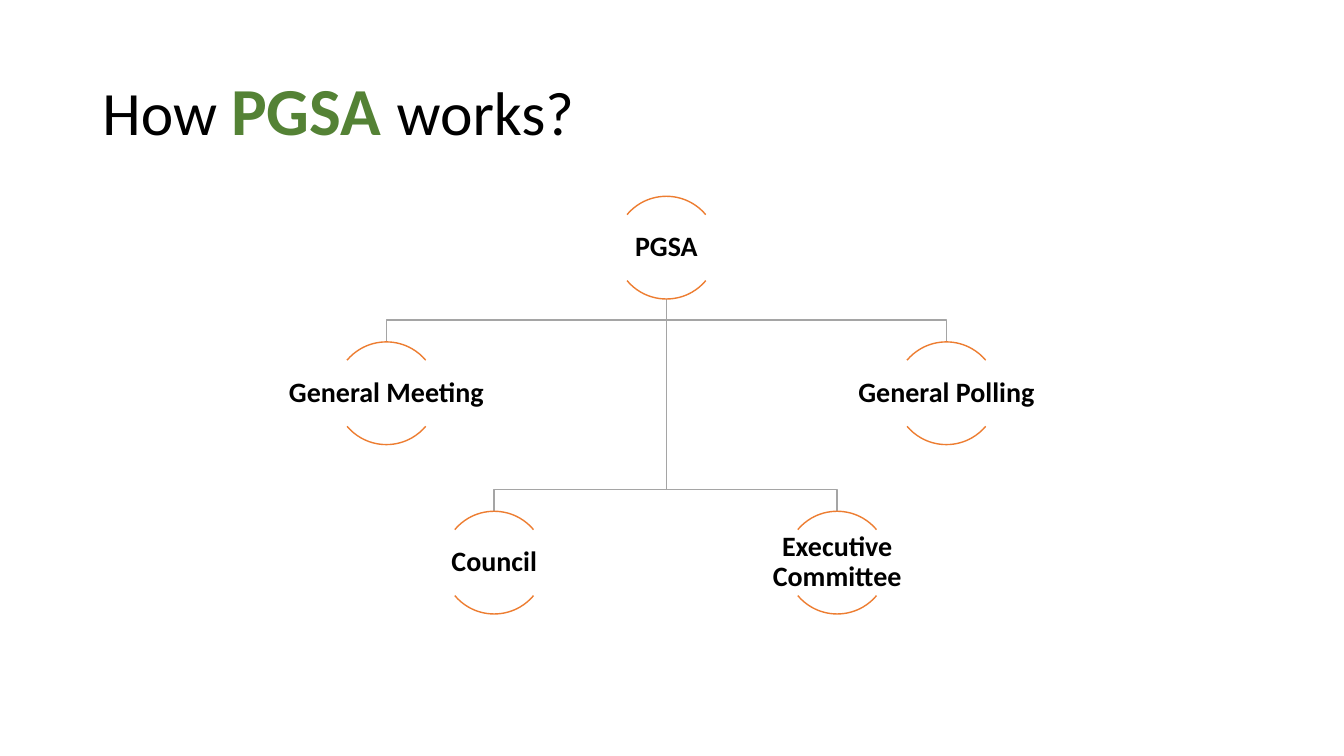
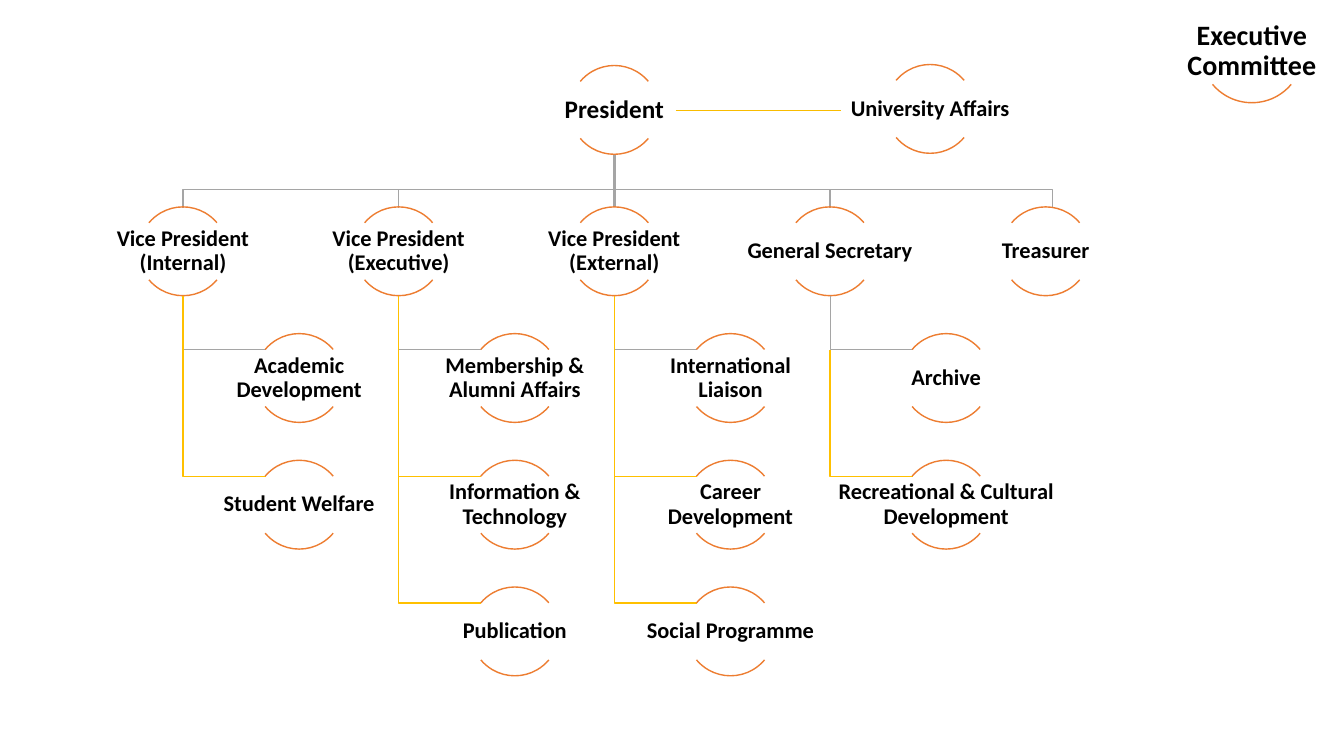
from lxml.etree import SubElement
from pptx import Presentation
from pptx.dml.color import RGBColor
from pptx.enum.shapes import MSO_CONNECTOR as Connector, MSO_SHAPE as Preset
from pptx.enum.text import MSO_ANCHOR as Anchor, MSO_AUTO_SIZE as AutoSize, PP_ALIGN as Align
from pptx.oxml.ns import qn
from pptx.util import Pt

COLORS = {"text": "000000", "brand": "548235", "arc": "ED7D31",
          "trunk": "A5A5A5", "branch": "FFC000", "side": "F9BC00"}
FONT = "Calibri"
ARC_ANGLES = {"top": (132, 192), "bottom": (24, 84)}
FRAME = {"word_wrap": True, "auto_size": AutoSize.NONE, "vertical_anchor": Anchor.MIDDLE}
LABEL_INSETS = {f"margin_{side}": Pt(0.9) for side in ("left", "right", "top", "bottom")}


def rgb(key):
    return RGBColor.from_string(COLORS[key])


def apply(target, values):
    for attribute, value in values.items():
        setattr(target, attribute, value)


def add_run(paragraph, text, size, bold, color="text"):
    run = paragraph.add_run()
    run.text = text
    apply(run.font, {"name": FONT, "size": Pt(size), "bold": bold})
    run.font.color.rgb = rgb(color)


def outline(part, color, weight=1):
    part.line.color.rgb = rgb(color)
    part.line.width = Pt(weight)


def add_path(slide, points, color, weight=1):
    """Open angled line through the given points."""
    start, *rest = [(Pt(x), Pt(y)) for x, y in points]
    builder = slide.shapes.build_freeform(*start, scale=1.0)
    builder.add_line_segments(rest, close=False)
    path = builder.convert_to_shape()
    path.shadow.inherit = False
    path.fill.background()
    outline(path, color, weight)


def add_line(slide, start, end, color, weight):
    ends = [Pt(value) for value in (*start, *end)]
    line = slide.shapes.add_connector(Connector.STRAIGHT, *ends)
    SubElement(line._element.spPr, qn("a:effectLst"))
    outline(line, color, weight)


def add_node(slide, text, center, top, diameter, size,
             label_width=None, arcs=("top", "bottom")):
    """Label between two arcs of a circle."""
    for arc_key in arcs:
        arc = slide.shapes.add_shape(Preset.ARC, Pt(center - diameter / 2), Pt(top),
                                     Pt(diameter), Pt(diameter))
        for index, angle in enumerate(ARC_ANGLES[arc_key]):
            arc.adjustments[index] = angle
        arc.shadow.inherit = False
        arc.fill.background()
        outline(arc, "arc")
    width, height = label_width or 2 * diameter, 0.64 * diameter
    label = slide.shapes.add_textbox(Pt(center - width / 2), Pt(top + (diameter - height) / 2),
                                     Pt(width), Pt(height))
    apply(label.text_frame, FRAME | LABEL_INSETS)
    paragraph = label.text_frame.paragraphs[0]
    apply(paragraph, {"alignment": Align.CENTER, "line_spacing": 0.9})
    add_run(paragraph, text, size, True)


def add_title(slide, box, parts):
    title = slide.shapes.title
    apply(title, dict(zip(("left", "top", "width", "height"), map(Pt, box))))
    apply(title.text_frame, FRAME)
    paragraph = title.text_frame.paragraphs[0]
    apply(paragraph, {"alignment": Align.LEFT, "line_spacing": 0.9})
    for part in parts:
        add_run(paragraph, *part)


def add_overview(slide, box):
    """PGSA with its four bodies in two rows."""
    left, top, width, _ = box
    diameter, size, drop = 73.4, 20, 15.5
    center = left + width / 2
    bodies = [("General Meeting", -200, 104), ("General Polling", 200, 104),
              ("Council", -123, 225), ("Executive Committee", 122, 225)]
    for _, dx, dy in bodies:
        bar = top + dy - drop
        add_path(slide, [(center, top + diameter), (center, bar),
                         (center + dx, bar), (center + dx, top + dy)], "trunk")
    for text, dx, dy in [("PGSA", 0, 0), *bodies]:
        add_node(slide, text, center + dx, top + dy, diameter, size)


def add_committee(slide, box):
    """President, officers in columns, and the portfolios below each officer."""
    left, top, width, _ = box
    diameter, size = 63.4, 16
    columns = [
        ("Vice President (Internal)", ["Academic Development", "Student Welfare"]),
        ("Vice President (Executive)",
         ["Membership & Alumni Affairs", "Information & Technology", "Publication"]),
        ("Vice President (External)",
         ["International Liaison", "Career Development", "Social Programme"]),
        ("General Secretary", ["Archive", "Recreational & Cultural Development"]),
        ("Treasurer", []),
    ]
    pitch = (width - 2 * diameter) / (len(columns) - 1)
    first = left + diameter
    president = first + 2 * pitch
    officer_top, row_pitch = top + 101, 90.5
    bar, officer_bottom = officer_top - 12.5, officer_top + diameter

    # President and adviser
    add_line(slide, (president, top + diameter), (president, officer_top), "trunk", 2.25)
    add_line(slide, (president + 44, top + 32.4), (president + 162, top + 32.4), "side", 0.75)
    add_node(slide, "President", president, top, diameter, 18)
    add_node(slide, "University Affairs", president + 225.6, top - 0.7, diameter, size)

    for column, (officer, portfolios) in enumerate(columns):
        center = first + column * pitch
        # Drop from the shared bar
        if center != president:
            end = center if portfolios else center + 5
            add_path(slide, [(president, bar), (end, bar), (end, officer_top + 1)], "trunk")
        add_node(slide, officer, center, officer_top, diameter, size)

        # Portfolios with their branches
        for row, portfolio in enumerate(portfolios, 1):
            node_center, node_top = center + 83, officer_top + row * row_pitch
            branch = node_top + 11.5
            start = officer_bottom
            if officer == "General Secretary" and row > 1:
                start = branch - row_pitch
            add_path(slide, [(center, start), (center, branch), (node_center - 24, branch)],
                     *(("trunk", 0.5) if row == 1 else ("branch", 1)))
            wide = 165 if portfolio.startswith("Recreational") else None
            add_node(slide, portfolio, node_center, node_top, diameter, size, wide)


def main():
    deck = Presentation()
    deck.slide_width, deck.slide_height = Pt(960), Pt(540)
    title_only, blank = deck.slide_layouts[5], deck.slide_layouts[6]

    overview = deck.slides.add_slide(title_only)
    add_title(overview, (66, 28.8, 828, 104.4),
              [("How ", 44, False), ("PGSA ", 48, True, "brand"), ("works?", 44, False)])
    add_overview(overview, (202, 140.2, 548, 298.4))

    committee = deck.slides.add_slide(blank)
    add_node(committee, "Executive Committee", 894.2, 0, 73.4, 20,
             label_width=130, arcs=["bottom"])
    add_committee(committee, (67.3, 46.8, 743, 436))

    deck.save("out.pptx")


if __name__ == "__main__":
    main()
